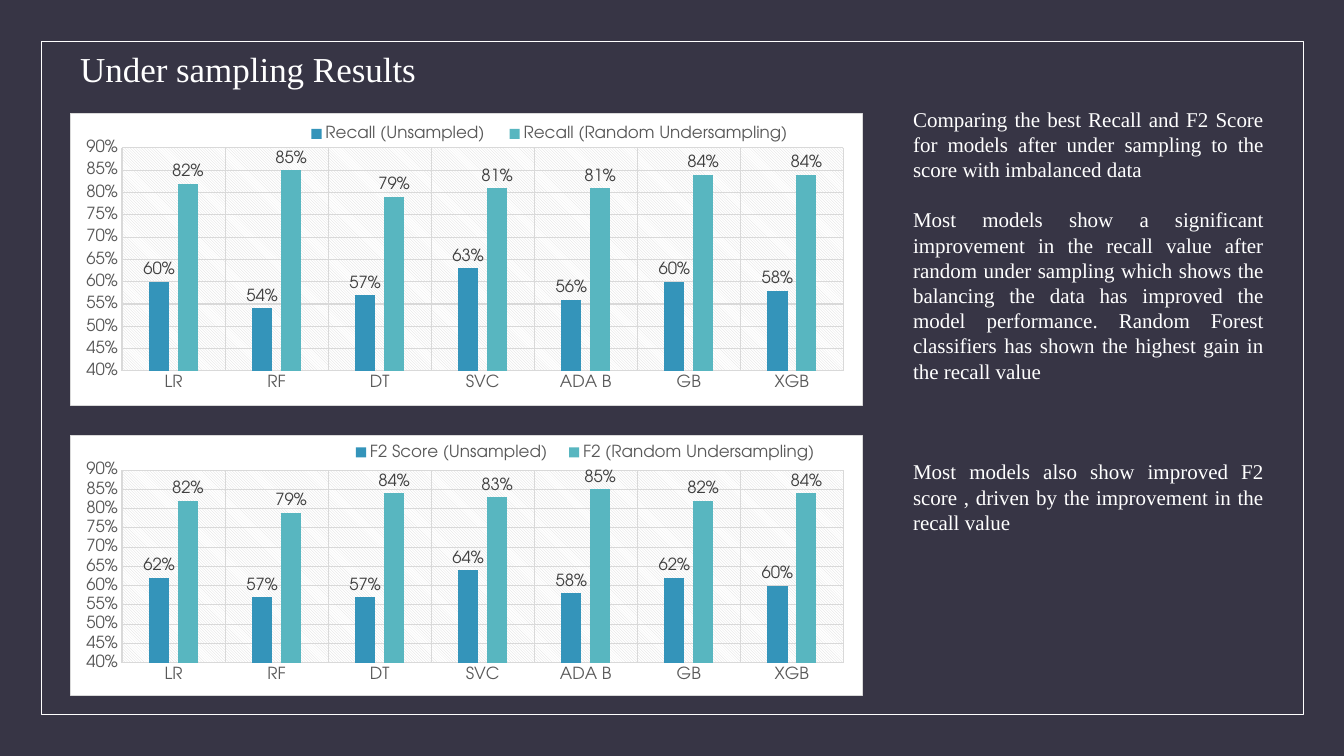
from dataclasses import dataclass

from pptx import Presentation
from pptx import util as u
from pptx.chart.data import CategoryChartData
from pptx.dml.color import RGBColor
from pptx.enum import chart as ch, shapes, text
from pptx.oxml import parse_xml
from pptx.oxml.ns import nsdecls, qn

TITLE = "Under sampling Results"
NOTES = [  # text, blank lines after it
    ("Comparing the best Recall and F2 Score for models after under sampling "
     "to the score with imbalanced data", 1),
    ("Most models show a significant improvement in the recall value after "
     "random under sampling which shows the balancing the data has improved "
     "the model performance. Random Forest classifiers has shown the highest "
     "gain in the recall value", 3),
    ("Most models also show improved F2 score , driven by the improvement in "
     "the recall value", 0),
]
MODELS = ["LR", "RF", "DT", "SVC", "ADA B", "GB", "XGB"]
CHARTS = [  # boxes in px; plot and legend as shares of the chart
    {"box": (70, 113, 793, 293),
     "plot": (0.065, 0.118, 0.911, 0.764), "legend": (0.28, 0.03, 0.65, 0.08),
     "series": {
         "Recall (Unsampled)": (0.60, 0.54, 0.57, 0.63, 0.56, 0.60, 0.58),
         "Recall (Random Undersampling)":
             (0.82, 0.85, 0.79, 0.81, 0.81, 0.84, 0.84)}},
    {"box": (70, 435, 793, 261),
     "plot": (0.065, 0.134, 0.911, 0.74), "legend": (0.34, 0.02, 0.62, 0.09),
     "series": {
         "F2 Score (Unsampled)": (0.62, 0.57, 0.57, 0.64, 0.58, 0.62, 0.60),
         "F2 (Random Undersampling)":
             (0.82, 0.79, 0.84, 0.83, 0.85, 0.82, 0.84)}},
]
PAGE = (1344, 756)
FRAME = (41, 41, 1262, 673)
HEAD = (70, 45, 1109, 52)
BODY = (903, 101, 371, 442)
SCALE = 914400 / 100.8


@dataclass(frozen=True)
class Theme:
    back: str = "373545"
    white: str = "FFFFFF"
    grid: str = "D9D9D9"
    axis: str = "595959"
    label: str = "404040"
    bars: tuple = ("3494BA", "58B6C0")
    serif: str = "Times New Roman"
    sans: str = "TeX Gyre Adventor"
    head: int = 25
    body: int = 15
    lead: int = 18
    chart: int = 12


T = Theme()


def emu(box):
    return [round(n * SCALE) for n in box]


def place(shape, box):
    shape.left, shape.top, shape.width, shape.height = emu(box)


def style(font, name, size, color):
    font.name, font.size = name, u.Pt(size)
    font.color.rgb = RGBColor.from_string(color)


def rule(line, color, width):
    line.color.rgb = RGBColor.from_string(color)
    line.width = u.Pt(width)


def layout(box, inner=False):
    """Build a manual chart layout from shares of the chart size."""
    target = '<c:layoutTarget val="inner"/>' if inner else ""
    modes = "".join(f'<c:{k}Mode val="edge"/>' for k in "xy")
    sizes = "".join(f'<c:{k} val="{v}"/>' for k, v in zip("xywh", box))
    return parse_xml(f'<c:layout {nsdecls("c")}><c:manualLayout>{target}'
                     f'{modes}{sizes}</c:manualLayout></c:layout>')


def props(fill, line=""):
    return parse_xml(f'<c:spPr {nsdecls("c", "a")}>{fill}{line}</c:spPr>')


def solid(color):
    return f'<a:solidFill><a:srgbClr val="{color}"/></a:solidFill>'


def clear(node):
    for old in node.findall(qn("c:layout")):
        node.remove(old)


def add_head(slide):
    head = slide.shapes.title
    place(head, HEAD)
    frame = head.text_frame
    frame.text = TITLE
    frame.vertical_anchor = text.MSO_ANCHOR.MIDDLE
    frame.auto_size = text.MSO_AUTO_SIZE.NONE
    para = frame.paragraphs[0]
    para.alignment = text.PP_ALIGN.LEFT
    para.line_spacing = 0.9
    style(para.runs[0].font, T.serif, T.head, T.white)


def add_body(slide):
    body = slide.placeholders[1]
    place(body, BODY)
    frame = body.text_frame
    frame.text = "\n".join(words for words, _ in NOTES)
    frame.auto_size = text.MSO_AUTO_SIZE.NONE
    for para, (_, blank) in zip(frame.paragraphs, NOTES):
        para.alignment = text.PP_ALIGN.JUSTIFY
        para.line_spacing = u.Pt(T.lead)
        para.space_before = u.Pt(0)
        para.space_after = u.Pt(T.lead * blank)
        ppr = para._p.get_or_add_pPr()
        ppr.set("marL", "0")
        ppr.set("indent", "0")
        ppr.append(parse_xml(f'<a:buNone {nsdecls("a")}/>'))
        style(para.runs[0].font, T.serif, T.body, T.white)


def add_frame(slide):
    box = slide.shapes.add_shape(shapes.MSO_SHAPE.RECTANGLE, *emu(FRAME))
    box.shadow.inherit = False
    box.fill.background()
    rule(box.line, T.white, 0.5)


def set_axes(chart):
    cat, val = chart.category_axis, chart.value_axis
    for axis in (cat, val):
        axis.major_tick_mark = axis.minor_tick_mark = ch.XL_TICK_MARK.NONE
        axis.has_major_gridlines = True
        rule(axis.major_gridlines.format.line, T.grid, 0.75)
        style(axis.tick_labels.font, T.sans, T.chart, T.axis)
    rule(cat.format.line, T.grid, 0.75)
    val.format.line.fill.background()
    val.minimum_scale, val.maximum_scale, val.major_unit = 0.4, 0.9, 0.05
    val.tick_labels.number_format = "0%"
    val.tick_labels.number_format_is_linked = False


def set_bars(plot):
    plot.gap_width, plot.overlap = 267, -43
    plot.vary_by_categories = False
    for bar, color in zip(plot.series, T.bars):
        bar.format.fill.solid()
        bar.format.fill.fore_color.rgb = RGBColor.from_string(color)
        tags = bar.data_labels
        tags.show_value = True
        tags.number_format, tags.number_format_is_linked = "0%", False
        tags.position = ch.XL_LABEL_POSITION.OUTSIDE_END
        style(tags.font, T.sans, T.chart, T.label)


def set_legend(chart, box):
    chart.has_legend = True
    key = chart.legend
    key.position = ch.XL_LEGEND_POSITION.BOTTOM
    key.include_in_layout = False
    style(key.font, T.sans, T.chart, T.axis)
    node = key._element
    clear(node)
    node.find(qn("c:overlay")).addprevious(layout(box))


def set_areas(chart, box):
    """Fill the chart and its hatched plot area, and fix the plot's place."""
    root = chart._chartSpace
    edge = f'<a:ln w="9525">{solid(T.grid)}</a:ln>'
    root.find(qn("c:txPr")).addprevious(props(solid(T.white), edge))
    area = root.find(qn("c:chart")).find(qn("c:plotArea"))
    clear(area)
    area.insert(0, layout(box, inner=True))
    area.append(props(
        f'<a:pattFill prst="ltDnDiag"><a:fgClr><a:srgbClr val="{T.grid}"/>'
        f'</a:fgClr><a:bgClr><a:srgbClr val="{T.white}"/></a:bgClr>'
        '</a:pattFill>'))


def add_bars(slide, item):
    data = CategoryChartData(number_format="0%")
    data.categories = MODELS
    for name, vals in item["series"].items():
        data.add_series(name, vals)
    chart = slide.shapes.add_chart(
        ch.XL_CHART_TYPE.COLUMN_CLUSTERED, *emu(item["box"]), data).chart
    chart.has_title = False
    style(chart.font, T.sans, T.chart, T.axis)
    set_axes(chart)
    set_bars(chart.plots[0])
    set_legend(chart, item["legend"])
    set_areas(chart, item["plot"])


def main():
    deck = Presentation()
    deck.slide_width, deck.slide_height = emu(PAGE)
    slide = deck.slides.add_slide(deck.slide_layouts[1])
    fill = slide.background.fill
    fill.solid()
    fill.fore_color.rgb = RGBColor.from_string(T.back)
    add_frame(slide)
    add_head(slide)
    add_body(slide)
    for item in CHARTS:
        add_bars(slide, item)
    deck.save("out.pptx")


if __name__ == "__main__":
    main()
